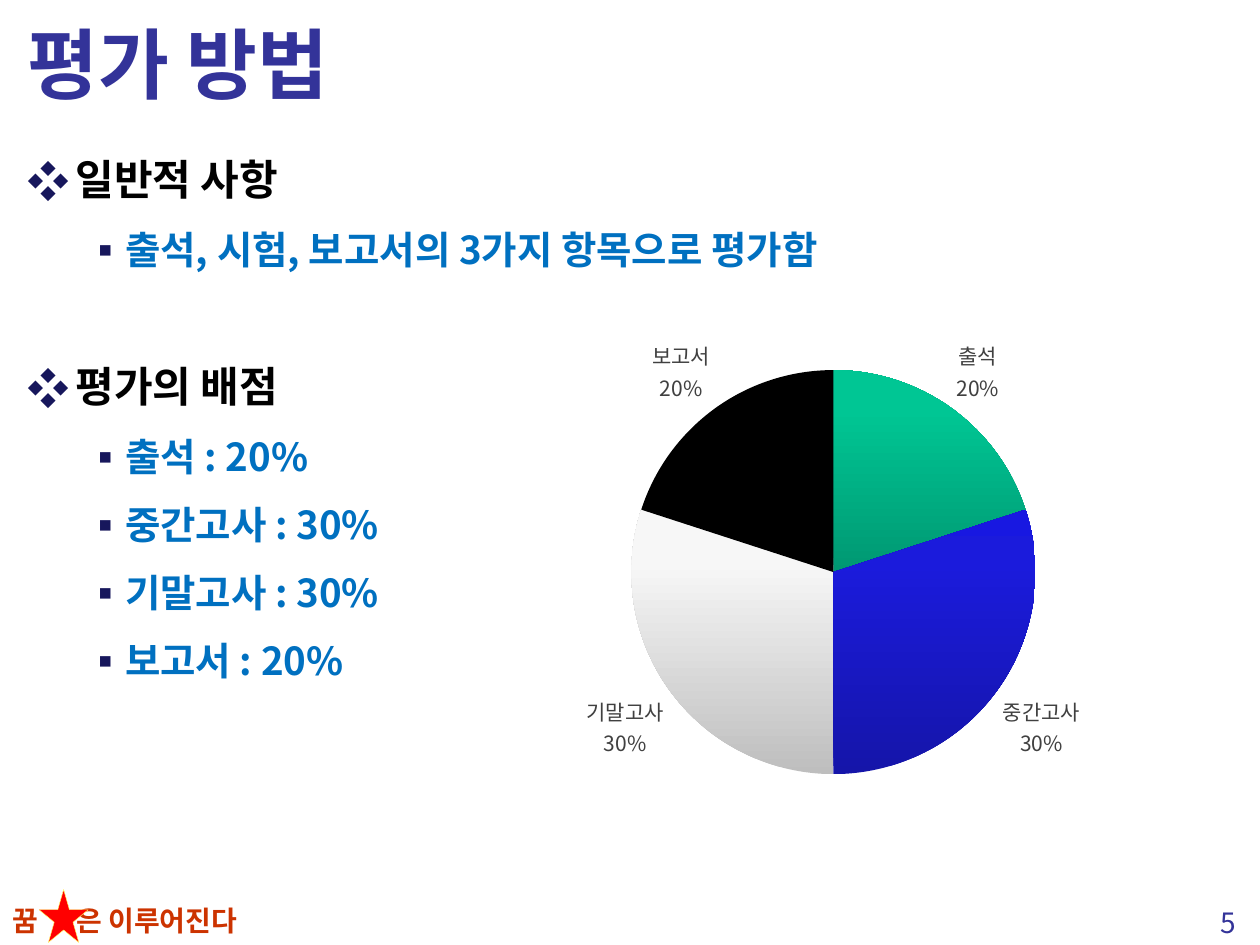
from lxml.etree import SubElement
from pptx import Presentation
from pptx.chart.data import CategoryChartData
from pptx.dml.color import RGBColor
from pptx.enum.chart import XL_CHART_TYPE, XL_LABEL_POSITION
from pptx.enum.shapes import MSO_SHAPE
from pptx.enum.text import MSO_ANCHOR, PP_ALIGN
from pptx.oxml import parse_xml
from pptx.oxml.ns import nsdecls, qn
from pptx.util import Inches, Pt

FONT = "Noto Sans CJK KR"
NAVY = RGBColor(0x33, 0x33, 0x99)
BULLET_NAVY = RGBColor(0x17, 0x17, 0x5C)
BLUE = RGBColor(0x00, 0x70, 0xC0)
BLACK = RGBColor(0x00, 0x00, 0x00)
GRAY = RGBColor(0x40, 0x40, 0x40)
RUST = RGBColor(0xCC, 0x33, 0x00)
RED = RGBColor(0xFF, 0x00, 0x00)
YELLOW = RGBColor(0xFF, 0xFF, 0x66)

SECTIONS = [
    ("일반적 사항", ["출석, 시험, 보고서의 3가지 항목으로 평가함"]),
    ("평가의 배점", ["출석 : 20%", "중간고사 : 30%", "기말고사 : 30%", "보고서 : 20%"]),
]
SCORES = {"출석": 20, "중간고사": 30, "기말고사": 30, "보고서": 20}
# Gradient colours at 0, 80 and 100 percent, from bottom to top
SLICE_GRADIENTS = [
    ("009872", "00C694", "00C795"),
    ("1515A9", "1B1BDC", "1818E1"),
    ("BEBEBE", "F7F7F7", "F8F8F8"),
]


def format_runs(paragraph, size, color, bold=False):
    for run in paragraph.runs:
        font = run.font
        font.name, font.size, font.bold = FONT, Pt(size), bold
        font.color.rgb = color
        SubElement(run._r.get_or_add_rPr(), qn("a:ea"), typeface=FONT)


def add_text(slide, box, text, size, color, bold=False, wrap=True):
    shape = slide.shapes.add_textbox(*map(Inches, box))
    shape.text_frame.word_wrap = wrap
    paragraph = shape.text_frame.paragraphs[0]
    paragraph.text = text
    format_runs(paragraph, size, color, bold)
    return paragraph


def add_title(slide, text):
    title = slide.shapes.title
    title.left, title.top = Inches(0.12), Inches(0.06)
    title.width, title.height = Inches(9.76), Inches(0.88)
    title.text_frame.text = text
    title.text_frame.vertical_anchor = MSO_ANCHOR.MIDDLE
    paragraph = title.text_frame.paragraphs[0]
    paragraph.alignment = PP_ALIGN.LEFT
    format_runs(paragraph, 44, NAVY, True)


def set_bullet(paragraph, character, left, hanging):
    properties = paragraph._p.get_or_add_pPr()
    properties.set("marL", str(Inches(left)))
    properties.set("indent", str(-Inches(hanging)))
    color = SubElement(properties, qn("a:buClr"))
    SubElement(color, qn("a:srgbClr"), val=str(BULLET_NAVY))
    SubElement(properties, qn("a:buFont"), typeface=FONT)
    SubElement(properties, qn("a:buChar"), char=character)


def add_outline(slide, sections):
    shape = slide.shapes.add_textbox(
        Inches(0.12), Inches(1.07), Inches(9.79), Inches(6.04))
    frame = shape.text_frame
    frame.word_wrap = True

    def add_item(paragraph, text, level, space_before):
        paragraph.text = text
        paragraph.level = level
        paragraph.alignment = PP_ALIGN.JUSTIFY
        paragraph.line_spacing = Pt(34.5 if level else 36)
        paragraph.space_before = Pt(space_before)
        if level:
            set_bullet(paragraph, "▪", 0.71, 0.24)
            format_runs(paragraph, 22, BLUE, True)
        else:
            set_bullet(paragraph, "❖", 0.38, 0.38)
            format_runs(paragraph, 24, BLACK, True)

    for index, (heading, items) in enumerate(sections):
        paragraph = frame.add_paragraph() if index else frame.paragraphs[0]
        add_item(paragraph, heading, 0, 43.4 if index else 4.8)
        for item in items:
            add_item(frame.add_paragraph(), item, 1, 4.4)


def fill_slice(point, colors):
    stops = "".join(
        f'<a:gs pos="{position}"><a:srgbClr val="{color}"/></a:gs>'
        for position, color in zip((0, 80000, 100000), colors))
    properties = point.format.fill._xPr
    properties.insert(0, parse_xml(
        f'<a:gradFill {nsdecls("a")} rotWithShape="1"><a:gsLst>{stops}</a:gsLst>'
        '<a:lin ang="16200000" scaled="0"/></a:gradFill>'))


def place_plot(chart, x, y, width, height):
    """Fix the pie's area, in fractions of the chart."""
    plot_area = chart._chartSpace.chart.plotArea
    for layout in plot_area.findall(qn("c:layout")):
        plot_area.remove(layout)
    values = {"layoutTarget": "inner", "xMode": "edge", "yMode": "edge",
              "x": x, "y": y, "w": width, "h": height}
    settings = "".join(f'<c:{tag} val="{value}"/>' for tag, value in values.items())
    plot_area.insert(0, parse_xml(
        f'<c:layout {nsdecls("c")}><c:manualLayout>{settings}'
        '</c:manualLayout></c:layout>'))


def add_score_pie(slide):
    data = CategoryChartData()
    data.categories = list(SCORES)
    data.add_series("Series 1", list(SCORES.values()))
    chart = slide.shapes.add_chart(
        XL_CHART_TYPE.PIE, Inches(3.74), Inches(2.41),
        Inches(5.75), Inches(4.06), data).chart
    chart.has_title = False
    chart.has_legend = False
    chart.font.name, chart.font.size = FONT, Pt(10)
    chart.font.color.rgb = BLACK
    place_plot(chart, 0.22, 0.13, 0.56, 0.79)

    plot = chart.plots[0]
    plot.vary_by_categories = True
    points = plot.series[0].points
    for index, colors in enumerate(SLICE_GRADIENTS):
        fill_slice(points[index], colors)
    last_fill = points[len(SCORES) - 1].format.fill
    last_fill.solid()
    last_fill.fore_color.rgb = BLACK

    plot.has_data_labels = True
    labels = plot.data_labels
    labels.show_category_name = True
    labels.show_percentage = True
    labels.show_value = False
    labels.position = XL_LABEL_POSITION.OUTSIDE_END
    labels.font.name, labels.font.size = FONT, Pt(12)
    labels.font.color.rgb = GRAY


def add_footer(slide):
    slogan = add_text(slide, (0, 7.12, 2.48, 0.37), "꿈\t은 이루어진다", 16, RUST, True)
    tabs = SubElement(slogan._p.get_or_add_pPr(), qn("a:tabLst"))
    SubElement(tabs, qn("a:tab"), pos=str(Inches(0.51)), algn="l")

    star = slide.shapes.add_shape(
        MSO_SHAPE.STAR_5_POINT, Inches(0.31), Inches(7.06), Inches(0.39), Inches(0.42))
    star.shadow.inherit = False
    star.fill.solid()
    star.fill.fore_color.rgb = RED
    star.line.color.rgb = YELLOW
    star.line.width = Pt(0.25)

    number = add_text(slide, (9.49, 7.14, 0.51, 0.37), "5", 16, NAVY, wrap=False)
    number.alignment = PP_ALIGN.CENTER


def main():
    presentation = Presentation()
    presentation.slide_width, presentation.slide_height = Inches(10), Inches(7.5)
    slide = presentation.slides.add_slide(presentation.slide_layouts[5])
    add_footer(slide)
    add_title(slide, "평가 방법")
    add_outline(slide, SECTIONS)
    add_score_pie(slide)
    presentation.save("out.pptx")


if __name__ == "__main__":
    main()
